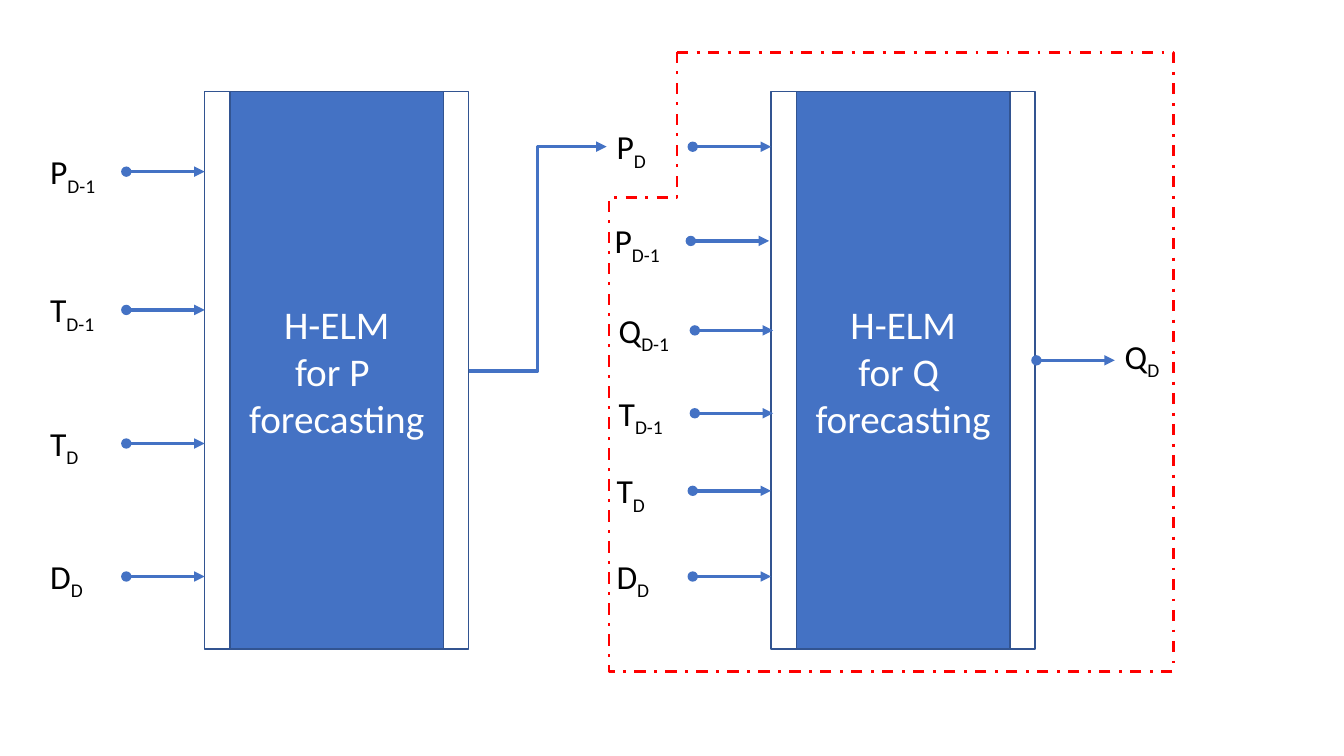
from lxml.etree import SubElement
from pptx import Presentation
from pptx.dml.color import RGBColor
from pptx.enum.dml import MSO_LINE
from pptx.enum.shapes import MSO_CONNECTOR as Connector, MSO_SHAPE as Preset
from pptx.enum.text import MSO_ANCHOR as Anchor, MSO_AUTO_SIZE as AutoSize, PP_ALIGN as Align
from pptx.oxml.ns import qn
from pptx.util import Pt

BLUE = RGBColor(0x44, 0x72, 0xC4)
EDGE = RGBColor(0x32, 0x54, 0x91)
RED = RGBColor(0xFF, 0x00, 0x00)
WHITE = RGBColor(0xFF, 0xFF, 0xFF)
BLACK = RGBColor(0x00, 0x00, 0x00)
FONT = "Calibri"

BLOCK_TOP, BLOCK_WIDTH, BLOCK_HEIGHT = 65.5, 188.6, 398.2
P_LEFT, Q_LEFT = 146.2, 550.8
BAND = 18
LABEL_WIDTH, LABEL_HEIGHT = 62, 36.4
ARROW_LENGTH = 55.5
DOT = 7.4

P_INPUTS = [("P", "D-1", 122.6), ("T", "D-1", 221.4), ("T", "D", 316.8), ("D", "D", 411.8)]
Q_INPUTS = [
    ("P", "D", 104.8, 0), ("P", "D-1", 172.1, -1.4), ("Q", "D-1", 236, 1.5),
    ("T", "D-1", 295.2, 1.5), ("T", "D", 350.6, 0), ("D", "D", 411.8, 0),
]


def add_run(paragraph, text, size, color):
    run = paragraph.add_run()
    run.text = text
    run.font.name = FONT
    run.font.size = Pt(size)
    run.font.color.rgb = color
    return run


def add_box(shapes, preset, left, top, width, height, fill=None, edge=None):
    shape = shapes.add_shape(preset, Pt(left), Pt(top), Pt(width), Pt(height))
    shape.shadow.inherit = False
    if fill is None:
        shape.fill.background()
    else:
        shape.fill.solid()
        shape.fill.fore_color.rgb = fill
    if edge is None:
        shape.line.fill.background()
    else:
        shape.line.color.rgb = edge
        shape.line.width = Pt(1)
    return shape


def add_arrow(shapes, kind, x1, y1, x2, y2):
    arrow = shapes.add_connector(kind, Pt(x1), Pt(y1), Pt(x2), Pt(y2))
    arrow.line.color.rgb = BLUE
    arrow.line.width = Pt(2.5)
    SubElement(arrow.line._get_or_add_ln(), qn("a:tailEnd"), type="triangle")
    SubElement(arrow._element.spPr, qn("a:effectLst"))


def add_label(shapes, left, top, symbol, subscript):
    label = shapes.add_textbox(Pt(left), Pt(top), Pt(LABEL_WIDTH), Pt(LABEL_HEIGHT))
    frame = label.text_frame
    frame.word_wrap = True
    frame.auto_size = AutoSize.SHAPE_TO_FIT_TEXT
    paragraph = frame.paragraphs[0]
    add_run(paragraph, symbol, 24, BLACK)
    lowered = add_run(paragraph, subscript, 24, BLACK)
    lowered.font._element.set("baseline", "-25000")


def add_dotted_arrow(shapes, left, y):
    add_arrow(shapes, Connector.STRAIGHT, left, y, left + ARROW_LENGTH, y)
    add_box(shapes, Preset.OVAL, left - 4.2, y - DOT / 2, DOT, DOT, BLUE)


def add_input(slide, right, y, symbol, subscript):
    shapes = slide.shapes.add_group_shape().shapes
    arrow_left = right - ARROW_LENGTH
    add_label(shapes, arrow_left - LABEL_WIDTH, y - LABEL_HEIGHT / 2, symbol, subscript)
    add_dotted_arrow(shapes, arrow_left, y)


def add_output(slide, left, y, symbol, subscript):
    shapes = slide.shapes.add_group_shape().shapes
    add_label(shapes, left + ARROW_LENGTH, y - 21.3, symbol, subscript)
    add_dotted_arrow(shapes, left, y)


def add_block(slide, left, top, width, height, target):
    shapes = slide.shapes.add_group_shape().shapes
    core = add_box(shapes, Preset.RECTANGLE, left + BAND, top, width - 2 * BAND, height, BLUE, EDGE)
    frame = core.text_frame
    frame.word_wrap = True
    frame.vertical_anchor = Anchor.MIDDLE
    for index, text in enumerate(["H-ELM", f"for {target} ", "forecasting"]):
        paragraph = frame.add_paragraph() if index else frame.paragraphs[0]
        paragraph.alignment = Align.CENTER
        add_run(paragraph, text, 28, WHITE)
    add_box(shapes, Preset.RECTANGLE, left, top, width, height, edge=EDGE)


def add_boundary(slide, left, top, width, height, notch_width, notch_height):
    right, bottom = left + width, top + height
    inner, step = left + notch_width, top + notch_height
    corners = [(right, top), (right, bottom), (left, bottom), (left, step), (inner, step)]
    builder = slide.shapes.build_freeform(Pt(inner), Pt(top))
    builder.add_line_segments([(Pt(x), Pt(y)) for x, y in corners], close=True)
    boundary = builder.convert_to_shape()
    boundary.shadow.inherit = False
    boundary.fill.background()
    boundary.line.color.rgb = RED
    boundary.line.width = Pt(2)
    boundary.line.dash_style = MSO_LINE.DASH_DOT


presentation = Presentation()
presentation.slide_width = Pt(960)
presentation.slide_height = Pt(540)
slide = presentation.slides.add_slide(presentation.slide_layouts[6])

add_block(slide, P_LEFT, BLOCK_TOP, BLOCK_WIDTH, BLOCK_HEIGHT, "P")
add_block(slide, Q_LEFT, BLOCK_TOP, BLOCK_WIDTH, BLOCK_HEIGHT, "Q")
for symbol, subscript, y in P_INPUTS:
    add_input(slide, P_LEFT, y, symbol, subscript)
for symbol, subscript, y, shift in Q_INPUTS:
    add_input(slide, Q_LEFT + shift, y, symbol, subscript)
add_output(slide, Q_LEFT + BLOCK_WIDTH + 1.4, 257.4, "Q", "D")
add_arrow(slide.shapes, Connector.ELBOW, P_LEFT + BLOCK_WIDTH, 265, 433.4, 104.8)
add_boundary(slide, 435, 37.4, 403, 442, 48.6, 103.7)

presentation.save("out.pptx")
